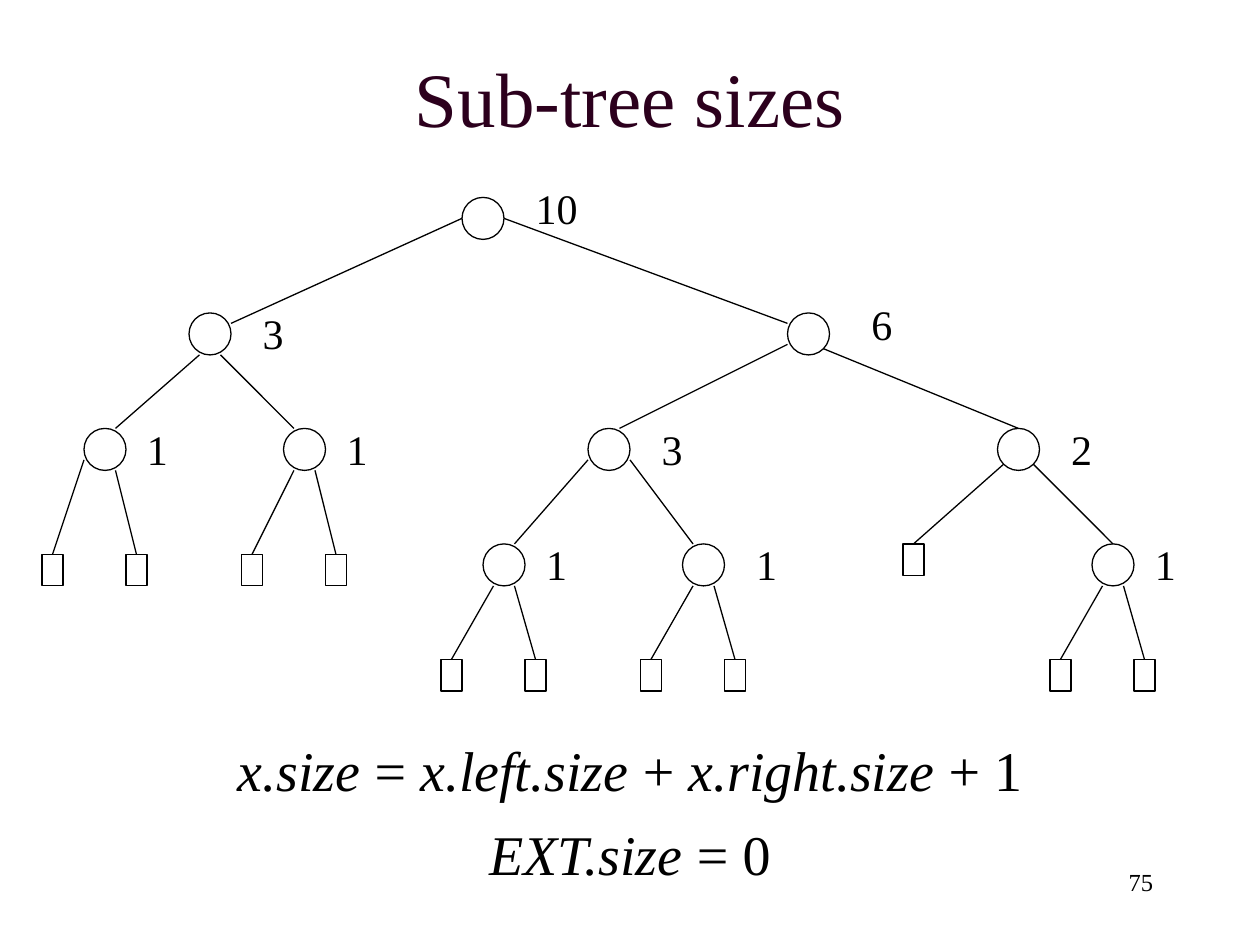
from dataclasses import dataclass
from typing import Optional, Union

from lxml import etree
from pptx import Presentation
from pptx.dml.color import RGBColor
from pptx.enum.shapes import MSO_CONNECTOR, MSO_SHAPE
from pptx.enum.text import MSO_ANCHOR, MSO_AUTO_SIZE, PP_ALIGN
from pptx.oxml.ns import qn
from pptx.util import Emu, Pt

LINE, OVAL, RECT = MSO_CONNECTOR.STRAIGHT, MSO_SHAPE.OVAL, MSO_SHAPE.RECTANGLE
CENTER, RIGHT = PP_ALIGN.CENTER, PP_ALIGN.RIGHT
MIDDLE, GROW = MSO_ANCHOR.MIDDLE, MSO_AUTO_SIZE.SHAPE_TO_FIT_TEXT

EMU_PER_PX = 7620  # 120 px to the inch
WIDTH, HEIGHT = 1200, 900
NODE, LEAF_W, LEAF_H = 40, 20, 30
COLORS = {"ink": "000000", "title": "2C001D"}
FONT = "Times New Roman"


@dataclass
class Leaf:
    x: int
    y: int
    enter: tuple[int, int] = (LEAF_W // 2, 0)


@dataclass
class Node:
    """Edge points (enter, exits) are offsets from the node's top left."""
    x: int
    y: int
    left: Union["Node", Leaf]
    right: Union["Node", Leaf]
    enter: Optional[tuple[int, int]] = None
    left_exit: tuple[int, int] = (10, NODE)
    right_exit: tuple[int, int] = (30, NODE)
    label_dx: int = 40
    label_dy: int = -11


def px(n: int) -> Emu:
    return Emu(n * EMU_PER_PX)


def rgb(name: str) -> RGBColor:
    return RGBColor.from_string(COLORS[name])


def add_run(p, text: str, size: int, color: str = "ink", italic: bool = False) -> None:
    r = p.add_run()
    r.text = text
    r.font.name, r.font.size, r.font.italic = FONT, Pt(size), italic
    r.font.color.rgb = rgb(color)


def add_text(s, x: int, y: int, w: int, h: int, runs: list[tuple[str, bool]],
             size: int, align=CENTER) -> None:
    tf = s.shapes.add_textbox(px(x), px(y), px(w), px(h)).text_frame
    tf.word_wrap = True
    tf.auto_size = GROW
    p = tf.paragraphs[0]
    p.alignment = align
    for text, italic in runs:
        add_run(p, text, size, italic=italic)


def style_line(line) -> None:
    line.color.rgb = rgb("ink")
    line.width = Pt(0.75)


def add_outline(s, kind, x: int, y: int, w: int, h: int) -> None:
    sp = s.shapes.add_shape(kind, px(x), px(y), px(w), px(h))
    sp.shadow.inherit = False
    sp.fill.background()
    style_line(sp.line)


def add_edge(s, parent: Node, start: tuple[int, int], child: Union[Node, Leaf],
             end: tuple[int, int]) -> None:
    edge = s.shapes.add_connector(
        LINE, px(parent.x + start[0]), px(parent.y + start[1]),
        px(child.x + end[0]), px(child.y + end[1]))
    style_line(edge.line)
    etree.SubElement(edge._element.spPr, qn("a:effectLst"))


def draw_tree(s, tree: Union[Node, Leaf]) -> int:
    """Draw a sub-tree and return its size, which is also its label."""
    if isinstance(tree, Leaf):
        add_outline(s, RECT, tree.x, tree.y, LEAF_W, LEAF_H)
        return 0
    add_outline(s, OVAL, tree.x, tree.y, NODE, NODE)
    add_edge(s, tree, tree.left_exit, tree.left, tree.left.enter or (30, 0))
    add_edge(s, tree, tree.right_exit, tree.right, tree.right.enter or (10, 0))
    size = draw_tree(s, tree.left) + draw_tree(s, tree.right) + 1
    add_text(s, tree.x + tree.label_dx, tree.y + tree.label_dy, 80, 60,
             [(str(size), False)], 24)
    return size


def bottom_node(x: int, y: int, leaf_y: int, **options) -> Node:
    """A node whose two children are leaves, 80 px apart."""
    return Node(x, y, Leaf(x - 40, leaf_y), Leaf(x + 40, leaf_y), **options)


def main() -> None:
    prs = Presentation()
    prs.slide_width, prs.slide_height = px(WIDTH), px(HEIGHT)
    s = prs.slides.add_slide(prs.slide_layouts[5])

    # Title
    title = s.shapes.title
    title.left, title.top, title.width, title.height = px(0), px(42), px(WIDTH), px(101)
    tf = title.text_frame
    tf.vertical_anchor = MIDDLE
    tf.auto_size = GROW
    p = tf.paragraphs[0]
    p.alignment = CENTER
    add_run(p, "Sub-tree sizes", 44, "title")

    # Tree
    levels = [188 + 110 * i for i in range(5)]
    left_half = Node(
        180, levels[1],
        Node(80, levels[2], Leaf(40, 528), Leaf(120, 528),
             left_exit=(0, 30), label_dx=30),
        bottom_node(270, levels[2], 528, label_dx=30),
        enter=(40, 10))
    middle = Node(
        560, levels[2],
        bottom_node(460, levels[3], levels[4], label_dx=30),
        bottom_node(650, levels[3], levels[4]),
        left_exit=(0, 30), right_exit=(40, 30))
    far_right = Node(
        950, levels[2],
        Leaf(860, levels[3]),
        bottom_node(1040, levels[3], levels[4], enter=(20, 0), label_dx=30),
        enter=(20, 0), left_exit=(6, 34), right_exit=(34, 34))
    right_half = Node(
        750, levels[1], middle, far_right, enter=(0, 10),
        left_exit=(0, 30), right_exit=(34, 34), label_dx=50, label_dy=-20)
    root = Node(440, levels[0], left_half, right_half,
                left_exit=(0, 20), right_exit=(40, 20), label_dx=50, label_dy=-20)
    draw_tree(s, root)

    # Size rules
    add_text(s, 0, 695, WIDTH, 77,
             [("x.size ", True), ("= ", False), ("x.left.size", True),
              (" + ", False), ("x.right.size", True), (" + 1", False)], 32)
    add_text(s, 0, 775, WIDTH, 77, [("EXT.size ", True), ("= 0", False)], 32)

    # Page number
    add_text(s, 860, 820, 250, 60, [("75", False)], 14, RIGHT)

    prs.save("out.pptx")


if __name__ == "__main__":
    main()
